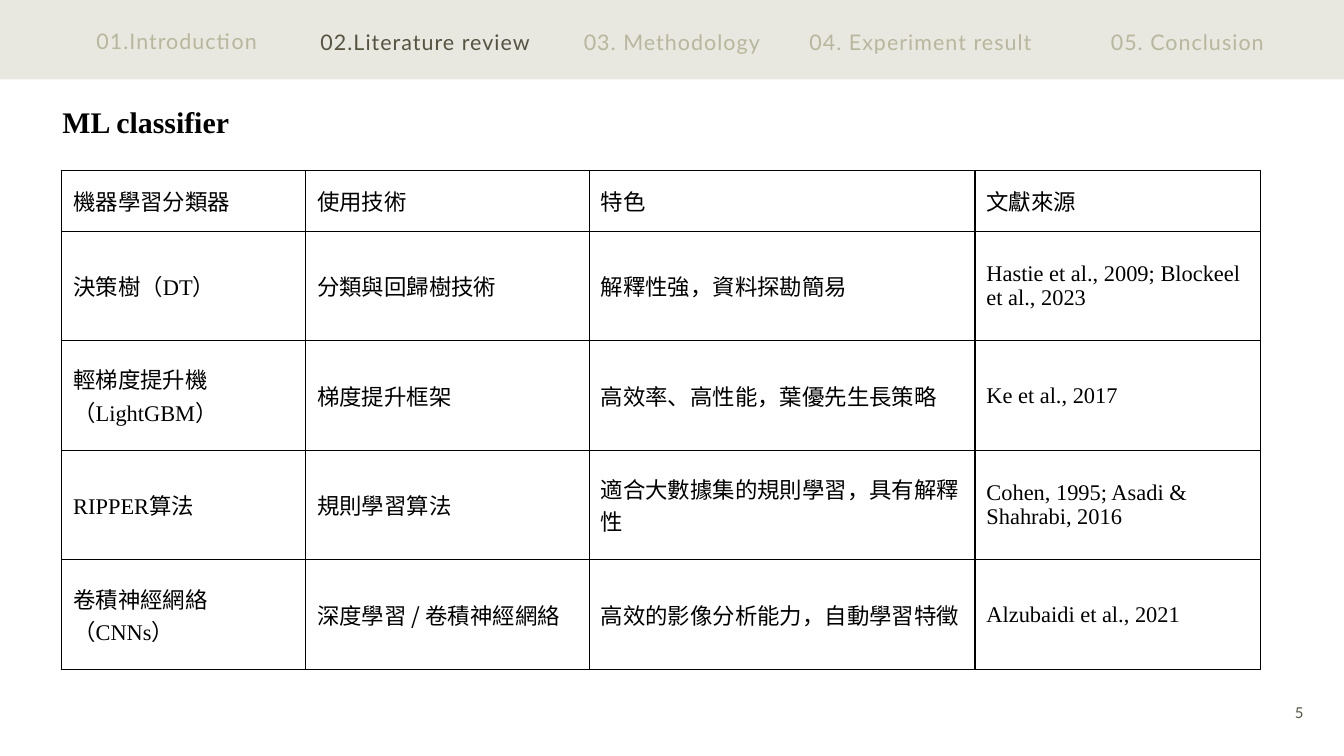
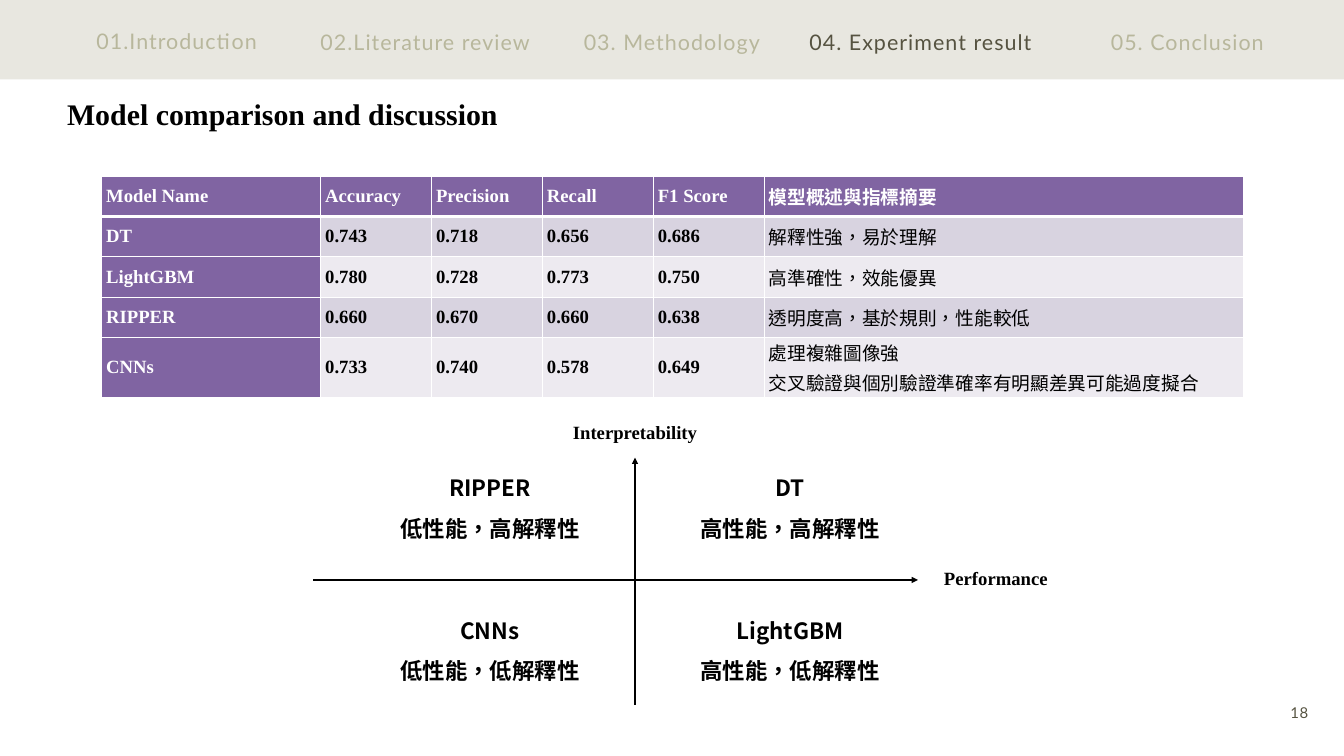
from dataclasses import dataclass
from itertools import product

from lxml import etree
from pptx import Presentation
from pptx.dml.color import RGBColor as RGB
from pptx.enum.shapes import MSO_CONNECTOR as LINE, MSO_SHAPE as SHAPE
from pptx.enum.text import MSO_ANCHOR as ANCHOR, MSO_AUTO_SIZE as AUTO, PP_ALIGN as ALIGN
from pptx.oxml.ns import qn
from pptx.util import Inches, Pt


@dataclass(frozen=True)
class Theme:
    """Colours, fonts and type sizes of the deck."""
    band: str = "E8E7E0"
    muted: str = "B8B79C"
    active: str = "565341"
    black: str = "000000"
    white: str = "FFFFFF"
    purple: str = "8064A2"
    stripes: tuple = ("D8D3E0", "EDEAF0")
    serif: str = "Times New Roman"
    sans: str = "Lato"
    cjk: str = "Noto Sans CJK SC"
    title: int = 32
    body: int = 24
    nav: int = 23
    small: int = 20
    page: int = 16


T = Theme()

SECTIONS = [
    ("01.Introduction", 1.24, 0.35, 2.78),
    ("02.Literature review", 4.56, 0.37, 3.54),
    ("03. Methodology", 8.64, 0.37, 2.72),
    ("04. Experiment result", 11.85, 0.37, 3.7),
    ("05. Conclusion", 15.82, 0.37, 3.7),
]

CLASSIFIERS = [
    ["機器學習分類器", "使用技術", "特色", "文獻來源"],
    ["決策樹（|DT|）", "分類與回歸樹技術", "解釋性強，資料探勘簡易",
     "Hastie et al., 2009; Blockeel et al., 2023"],
    ["輕梯度提升機\n（|LightGBM|）", "梯度提升框架", "高效率、高性能，葉優先生長策略", "Ke et al., 2017"],
    ["RIPPER|算法", "規則學習算法", "適合大數據集的規則學習，具有解釋性",
     "Cohen, 1995; Asadi & Shahrabi, 2016"],
    ["卷積神經網絡\n（|CNNs|）", "深度學習 / 卷積神經網絡", "高效的影像分析能力，自動學習特徵",
     "Alzubaidi et al., 2021"],
]

SCORES = [
    ["Model Name", "Accuracy", "Precision", "Recall", "F1 Score", "模型概述與指標摘要"],
    ["DT", "0.743", "0.718", "0.656", "0.686", "解釋性強，易於理解"],
    ["LightGBM", "0.780", "0.728", "0.773", "0.750", "高準確性，效能優異"],
    ["RIPPER", "0.660", "0.670", "0.660", "0.638", "透明度高，基於規則，性能較低"],
    ["CNNs", "0.733", "0.740", "0.578", "0.649",
     "處理複雜圖像強\n交叉驗證與個別驗證準確率有明顯差異可能過度擬合"],
]

QUADRANTS = [
    "RIPPER\n低性能，高解釋性",
    "DT\n高性能，高解釋性",
    "CNNs\n低性能，低解釋性",
    "LightGBM\n高性能，低解釋性",
]


def apply(obj, values):
    """Set each attribute named in a dict."""
    for name, value in values.items():
        setattr(obj, name, value)


def write(tf, text, size, color=T.black, font=None, bold=False, spc=0, lang=None, gap=0, **para):
    """Fill a text frame: newlines part paragraphs, bars part runs."""
    for i, line in enumerate(text.split("\n")):
        p = tf.add_paragraph() if i else tf.paragraphs[0]
        apply(p, para)
        if i and gap:
            p.space_before = Pt(gap)
        for part in line.split("|"):
            r = p.add_run()
            r.text = part
            name = font or (T.serif if part.isascii() else T.cjk)
            apply(r.font, {"name": name, "size": Pt(size), "bold": bold})
            r.font.color.rgb = RGB.from_string(color)
            rPr = r.font._element
            etree.SubElement(rPr, qn("a:ea")).set("typeface", T.cjk)
            if spc:
                rPr.set("spc", str(spc))
            if lang:
                rPr.set("lang", lang)


def add_text(shapes, box, text, size, inset=True, **look):
    """Add a wrapping text box at a box given in inches."""
    tf = shapes.add_textbox(*map(Inches, box)).text_frame
    apply(tf, {"word_wrap": True, "auto_size": AUTO.SHAPE_TO_FIT_TEXT})
    if not inset:
        apply(tf, dict.fromkeys(("margin_left", "margin_top", "margin_right", "margin_bottom"), 0))
    write(tf, text, size, **look)


def add_border(cell, side, color, width):
    """Draw one side of a table cell."""
    tcPr = cell._tc.get_or_add_tcPr()
    ln = etree.SubElement(tcPr, qn(f"a:ln{side}"), w=str(Pt(width)))
    fill = etree.SubElement(ln, qn("a:solidFill"))
    etree.SubElement(fill, qn("a:srgbClr"), val=color)


def add_grid(s, left, top, widths, heights):
    """Add an unstyled table and return it."""
    box = map(Inches, (left, top, sum(widths), sum(heights)))
    table = s.shapes.add_table(len(heights), len(widths), *box).table
    apply(table, {"first_row": False, "horz_banding": False})
    for col, width in zip(table.columns, widths):
        col.width = Inches(width)
    for row, height in zip(table.rows, heights):
        row.height = Inches(height)
    return table


def set_cell(cell, borders, fill, inset_x, inset_y):
    """Give a cell its borders, fill, insets and middle anchor."""
    for side, (color, width) in zip("LRTB", borders):
        add_border(cell, side, color, width)
    if fill:
        cell.fill.solid()
        cell.fill.fore_color.rgb = RGB.from_string(fill)
    else:
        cell.fill.background()
    x, y = Inches(inset_x), Inches(inset_y)
    apply(cell, {"margin_left": x, "margin_right": x, "margin_top": y, "margin_bottom": y,
                 "vertical_anchor": ANCHOR.MIDDLE})


def add_nav(s, current):
    """Draw the top band with the current section darkened."""
    band = s.shapes.add_shape(SHAPE.RECTANGLE, 0, 0, Inches(20), Inches(1.18))
    band.shadow.inherit = False
    band.fill.solid()
    band.fill.fore_color.rgb = RGB.from_string(T.band)
    band.line.fill.background()
    for i, (label, left, top, width) in enumerate(SECTIONS):
        add_text(s.shapes, (left, top, width, 0.44), label, T.nav, inset=False,
                 color=T.active if i == current else T.muted, font=T.sans, spc=110,
                 alignment=ALIGN.CENTER, line_spacing=Pt(32.2))


def add_frame(prs, section, title, left, top, page):
    """Add a slide with its navigation, title and page number."""
    s = prs.slides.add_slide(prs.slide_layouts[6])
    add_nav(s, section)
    add_text(s.shapes, (left, top, 10, 0.64), title, T.title, font=T.serif, bold=True)
    add_text(s.shapes, (19.1, 10.53, 0.47, 0.23), page, T.page, inset=False, color=T.active,
             font=T.sans, spc=80, alignment=ALIGN.CENTER, line_spacing=Pt(14.7))
    return s


def add_classifiers(s, left, top):
    """Place the ruled table of classifiers."""
    table = add_grid(s, left, top, [3.63, 4.22, 5.74, 4.25], [0.9] + [1.63] * 4)
    for i, row in enumerate(CLASSIFIERS):
        for j, text in enumerate(row):
            cell = table.cell(i, j)
            set_cell(cell, [(T.black, 1.5)] * 4, None, 0.17, 0.17)
            write(cell.text_frame, text, T.body)


def add_scores(s, left, top):
    """Place the striped table of model scores."""
    table = add_grid(s, left, top, [3.26] + [1.65] * 4 + [7.14], [0.6] * 4 + [0.89])
    for i, row in enumerate(SCORES):
        for j, text in enumerate(row):
            cell = table.cell(i, j)
            head = i == 0 or j == 0
            thin = (T.white, 1)
            above = (T.white, 3) if i == 1 else thin
            below = (T.white, 3) if i == 0 else thin
            fill = T.purple if head else T.stripes[(i - 1) % 2]
            set_cell(cell, [thin, thin, above, below], fill, 0.07, 0)
            write(cell.text_frame, text, T.small, color=T.white if head else T.black,
                  bold=head or j < 5, lang="zh-TW" if j == 5 else None, gap=2.5,
                  alignment=ALIGN.JUSTIFY)


def add_axis(shapes, x1, y1, x2, y2):
    """Draw one axis with an arrowhead at its end."""
    axis = shapes.add_connector(LINE.STRAIGHT, *map(Inches, (x1, y1, x2, y2)))
    axis.line.color.rgb = RGB.from_string(T.black)
    axis.line.width = Pt(2.25)
    etree.SubElement(axis.line._get_or_add_ln(), qn("a:tailEnd"), type="triangle")
    etree.SubElement(axis._element.spPr, qn("a:effectLst"))


def add_quadrants(s, left, top):
    """Place the performance and interpretability chart of the four models."""
    shapes = s.shapes.add_group_shape().shapes
    mid_x, mid_y = left + 4.79, top + 2.42
    add_axis(shapes, left, mid_y, left + 9, mid_y)
    add_axis(shapes, mid_x, top + 4.28, mid_x, top + 0.6)
    look = {"bold": True, "alignment": ALIGN.CENTER}
    spots = product((0.6, 2.72), ((0.6, 4.06), (5, 4.19)))
    for text, (y, (x, width)) in zip(QUADRANTS, spots):
        add_text(shapes, (left + x, top + y, width, 1.24), text, T.body, font=T.cjk,
                 lang="zh-TW", line_spacing=1.5, **look)
    for text, x, y in (("Interpretability", 3.75, 0), ("Performance", 9.12, 2.17)):
        add_text(shapes, (left + x, top + y, 2.08, 0.44), text, T.small, font=T.serif, **look)


def main():
    """Build and save the two slides."""
    prs = Presentation()
    apply(prs, {"slide_width": Inches(20), "slide_height": Inches(11.25)})
    s = add_frame(prs, 1, "ML classifier", 0.83, 1.49, "5")
    add_classifiers(s, 0.92, 2.54)
    s = add_frame(prs, 3, "Model comparison and discussion", 0.9, 1.38, "18")
    add_scores(s, 1.51, 2.62)
    add_quadrants(s, 4.66, 6.21)
    prs.save("out.pptx")


if __name__ == "__main__":
    main()
